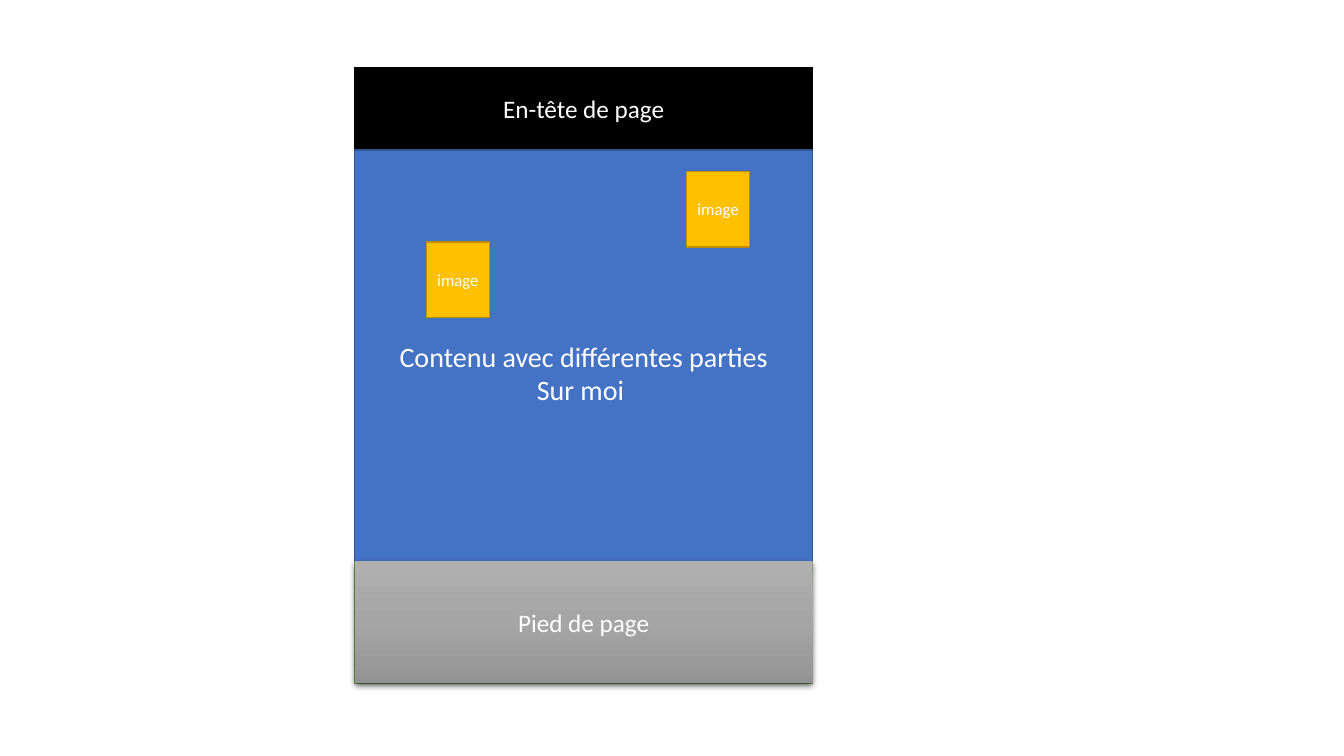
import copy

import lxml.etree
import pptx
import pptx.dml.color
import pptx.enum.shapes
import pptx.enum.text
import pptx.oxml.ns
import pptx.util

RGB = pptx.dml.color.RGBColor
WHITE = RGB(0xFF, 0xFF, 0xFF)
BLACK = RGB(0x00, 0x00, 0x00)
GREEN = RGB(0x70, 0xAD, 0x47)
BLUE = RGB(0x44, 0x72, 0xC4)
DARK_BLUE = RGB(0x32, 0x54, 0x91)
GOLD = RGB(0xFF, 0xC0, 0x00)
DARK_GOLD = RGB(0xBD, 0x8E, 0x00)
GREYS = [RGB(0xAF, 0xAF, 0xAF), RGB(0xA5, 0xA5, 0xA5), RGB(0x93, 0x93, 0x93)]

deck = pptx.Presentation()
deck.slide_width = pptx.util.Inches(13.33)
deck.slide_height = pptx.util.Inches(7.5)
slide = deck.slides.add_slide(deck.slide_layouts[6])

# Page column and row edges, in percent of the slide's size
PAGE_LEFT, PAGE_WIDTH = 26.4, 34.06
HEADER_TOP, CONTENT_TOP, FOOTER_TOP, PAGE_BOTTOM = 8.93, 19.83, 74.27, 90.4
IMAGE_WIDTH, IMAGE_HEIGHT = 4.68, 10


def add_block(left, top, width, height, fill, outline, lines=(), size=18):
    """Add a rectangle placed in percent of the slide, with centred text."""
    across, down = deck.slide_width / 100, deck.slide_height / 100
    block = slide.shapes.add_shape(
        pptx.enum.shapes.MSO_SHAPE.RECTANGLE,
        round(left * across), round(top * down),
        round(width * across), round(height * down))
    block.shadow.inherit = False
    block.fill.solid()
    block.fill.fore_color.rgb = fill
    block.line.color.rgb = outline
    block.line.width = pptx.util.Pt(1)
    frame = block.text_frame
    frame.word_wrap = True
    frame.vertical_anchor = pptx.enum.text.MSO_ANCHOR.MIDDLE
    for number, line in enumerate(lines):
        paragraph = frame.add_paragraph() if number else frame.paragraphs[0]
        paragraph.alignment = pptx.enum.text.PP_ALIGN.CENTER
        run = paragraph.add_run()
        run.text = line
        run.font.name = "Calibri"
        run.font.size = pptx.util.Pt(size)
        run.font.color.rgb = WHITE
    return block


# Page sheet and header
add_block(PAGE_LEFT, HEADER_TOP, PAGE_WIDTH, PAGE_BOTTOM - HEADER_TOP, WHITE, GREEN)
add_block(PAGE_LEFT, HEADER_TOP, PAGE_WIDTH, CONTENT_TOP - HEADER_TOP,
          BLACK, BLACK, ["En-tête de page"])

# Content, with its text set below the middle
content = add_block(PAGE_LEFT, CONTENT_TOP, PAGE_WIDTH, FOOTER_TOP - CONTENT_TOP,
                    BLUE, DARK_BLUE,
                    ["Contenu avec différentes parties", "Sur moi "], 20)
content.text_frame.margin_top = pptx.util.Inches(0.39)

# Image slots
for left, top in [(51.08, 22.67), (31.73, 32)]:
    add_block(left, top, IMAGE_WIDTH, IMAGE_HEIGHT, GOLD, DARK_GOLD, ["image"], 12)

# Footer with a grey gradient
footer = add_block(PAGE_LEFT, FOOTER_TOP, PAGE_WIDTH, PAGE_BOTTOM - FOOTER_TOP,
                   GREYS[1], GREYS[1], ["Pied de page"])
footer.line.fill.background()
footer.fill.gradient()
footer.fill.gradient_angle = 270
qn = pptx.oxml.ns.qn
stop_list = footer.element.spPr.find(".//" + qn("a:gsLst"))
stop_list.append(copy.deepcopy(stop_list[0]))
for number, (stop, grey) in enumerate(zip(footer.fill.gradient_stops, GREYS)):
    stop.position = number / 2
    stop.color.rgb = grey

# Footer shadow
effects = footer.element.spPr.find(qn("a:effectLst"))
shadow = lxml.etree.SubElement(
    effects, qn("a:outerShdw"), blurRad=str(pptx.util.Pt(4.5)),
    dist=str(pptx.util.Pt(1.5)), dir="5400000", algn="ctr", rotWithShape="0")
shade = lxml.etree.SubElement(shadow, qn("a:srgbClr"), val=str(BLACK))
lxml.etree.SubElement(shade, qn("a:alpha"), val="63000")

deck.save("out.pptx")
